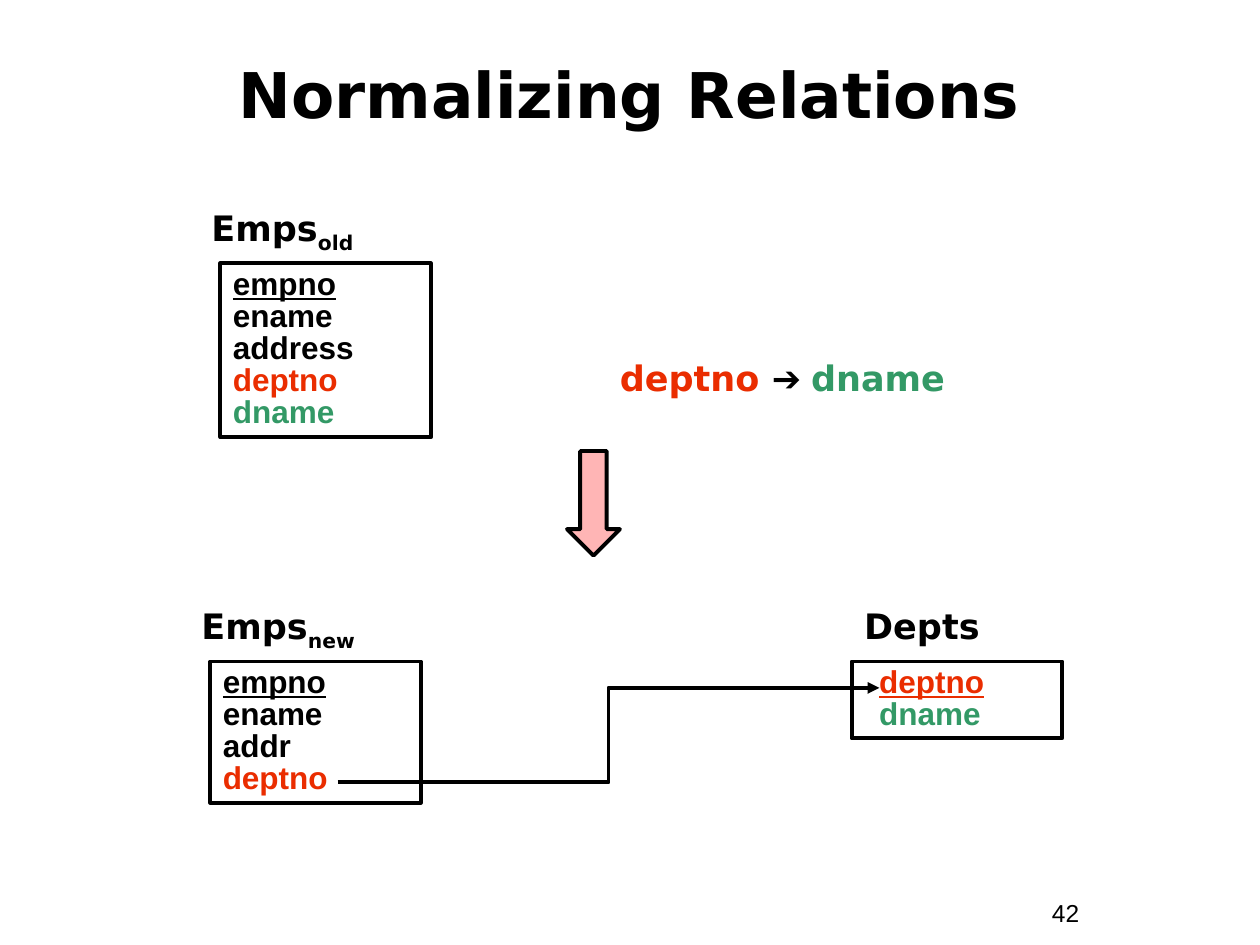
import dataclasses

import pptx
import pptx.dml.color
import pptx.enum.dml
import pptx.enum.shapes
import pptx.enum.text
import pptx.oxml
import pptx.oxml.ns
import pptx.util
from pptx.util import Inches

BLACK, RED, GREEN, PINK = "000000", "EA2D00", "339966", "FFB5B5"
HEADING_FONT, BODY_FONT = "DejaVu Sans", "Arial"
CENTER = pptx.enum.text.PP_ALIGN.CENTER
TIGHT = 0.85
DRAWING_NS = pptx.oxml.ns.nsdecls("a")


@dataclasses.dataclass(frozen=True)
class Run:
    text: str
    color: str = BLACK
    font: str = HEADING_FONT
    size: int = 20
    bold: bool = True
    underline: bool = False
    baseline: int = 0


@dataclasses.dataclass(frozen=True)
class Relation:
    name: str
    subscript: str
    label_left: float
    label_top: float
    left: float
    top: float
    height: float
    columns: tuple[tuple[str, str], ...]  # the first column is the key
    indent: float = 0


RELATIONS = (
    Relation("Emps", "old", 1.58, 1.59, 1.75, 2.09, 1.38,
             (("empno", BLACK), ("ename", BLACK), ("address", BLACK),
              ("deptno", RED), ("dname", GREEN))),
    Relation("Emps", "new", 1.5, 4.75, 1.67, 5.25, 1.12,
             (("empno", BLACK), ("ename", BLACK), ("addr", BLACK), ("deptno", RED))),
    Relation("Depts", "", 6.76, 4.75, 6.76, 5.25, 0.61,
             (("deptno", RED), ("dname", GREEN)), indent=0.12),
)


def rgb(color: str) -> pptx.dml.color.RGBColor:
    return pptx.dml.color.RGBColor.from_string(color)


def set_frame(frame, anchor=pptx.enum.text.MSO_ANCHOR.TOP) -> None:
    settings = {
        "word_wrap": True, "auto_size": pptx.enum.text.MSO_AUTO_SIZE.NONE,
        "vertical_anchor": anchor,
        "margin_left": Inches(0.1), "margin_right": Inches(0.1),
        "margin_top": Inches(0.05), "margin_bottom": Inches(0.05),
    }
    for name, value in settings.items():
        setattr(frame, name, value)


def write_paragraph(paragraph, runs: list[Run], align=pptx.enum.text.PP_ALIGN.LEFT,
                    spacing: float = 1.0, indent: float = 0) -> None:
    paragraph.alignment = align
    paragraph.line_spacing = spacing
    if indent:
        paragraph._p.get_or_add_pPr().set("marL", str(Inches(indent)))
    for part in runs:
        run = paragraph.add_run()
        run.text = part.text
        formats = {"name": part.font, "size": pptx.util.Pt(part.size),
                   "bold": part.bold, "underline": part.underline}
        for name, value in formats.items():
            setattr(run.font, name, value)
        run.font.color.rgb = rgb(part.color)
        if part.baseline:
            run.font._element.set("baseline", str(part.baseline * 1000))


def add_text(slide, left: float, top: float, width: float, height: float,
             runs: list[Run], **layout) -> None:
    box = slide.shapes.add_textbox(Inches(left), Inches(top), Inches(width), Inches(height))
    set_frame(box.text_frame)
    write_paragraph(box.text_frame.paragraphs[0], runs, **layout)


def set_outline(line) -> None:
    line.color.rgb = rgb(BLACK)
    line.width = pptx.util.Pt(2.25)


def add_relation(slide, relation: Relation) -> None:
    """Draw the relation's name above a box that lists its columns."""
    name = [Run(relation.name)]
    if relation.subscript:
        name.append(Run(relation.subscript, baseline=-25))
    add_text(slide, relation.label_left, relation.label_top, 2.67, 0.48, name)

    box = slide.shapes.add_shape(
        pptx.enum.shapes.MSO_SHAPE.RECTANGLE, Inches(relation.left), Inches(relation.top),
        Inches(1.67), Inches(relation.height))
    box.shadow.inherit = False
    box.fill.background()
    set_outline(box.line)
    frame = box.text_frame
    set_frame(frame)
    for index, (column, color) in enumerate(relation.columns):
        paragraph = frame.add_paragraph() if index else frame.paragraphs[0]
        column_run = Run(column, color, BODY_FONT, 18, underline=index == 0)
        write_paragraph(paragraph, [column_run], spacing=TIGHT, indent=relation.indent)


def add_foreign_key(slide) -> None:
    """Link deptno of the new Emps to the key of Depts."""
    link = slide.shapes.add_connector(
        pptx.enum.shapes.MSO_CONNECTOR.ELBOW,
        Inches(2.68), Inches(6.21), Inches(6.98), Inches(5.46))
    set_outline(link.line)
    link.line._get_or_add_ln().append(
        pptx.oxml.parse_xml(f'<a:tailEnd {DRAWING_NS} type="triangle"/>'))
    link._element.spPr.append(pptx.oxml.parse_xml(f"<a:effectLst {DRAWING_NS}/>"))


def add_step_arrow(slide) -> None:
    arrow = slide.shapes.add_shape(
        pptx.enum.shapes.MSO_SHAPE.DOWN_ARROW,
        Inches(4.5), Inches(3.58), Inches(0.42), Inches(0.83))
    arrow.shadow.inherit = False
    arrow.fill.solid()
    arrow.fill.fore_color.rgb = rgb(PINK)
    set_outline(arrow.line)


def set_title(slide, text: str) -> None:
    title = slide.shapes.title
    title.left, title.top = Inches(0.33), Inches(0.33)
    title.width, title.height = Inches(9.33), Inches(0.92)
    set_frame(title.text_frame, pptx.enum.text.MSO_ANCHOR.MIDDLE)
    write_paragraph(title.text_frame.paragraphs[0], [Run(text, size=36)],
                    align=CENTER, spacing=TIGHT)


def main() -> None:
    presentation = pptx.Presentation()
    presentation.slide_width, presentation.slide_height = Inches(10), Inches(7.5)
    slide = presentation.slides.add_slide(presentation.slide_layouts[5])

    set_title(slide, "Normalizing Relations")
    for relation in RELATIONS:
        add_relation(slide, relation)
    add_foreign_key(slide)
    dependency = [Run("deptno ", RED), Run("➔ ", font=BODY_FONT), Run("dname", GREEN)]
    add_text(slide, 4.42, 2.83, 3.58, 0.39, dependency, align=CENTER, spacing=TIGHT)
    add_step_arrow(slide)
    add_text(slide, 8.25, 7.08, 0.92, 0.34,
             [Run("42", font=BODY_FONT, size=14, bold=False)])

    presentation.save("out.pptx")


if __name__ == "__main__":
    main()
